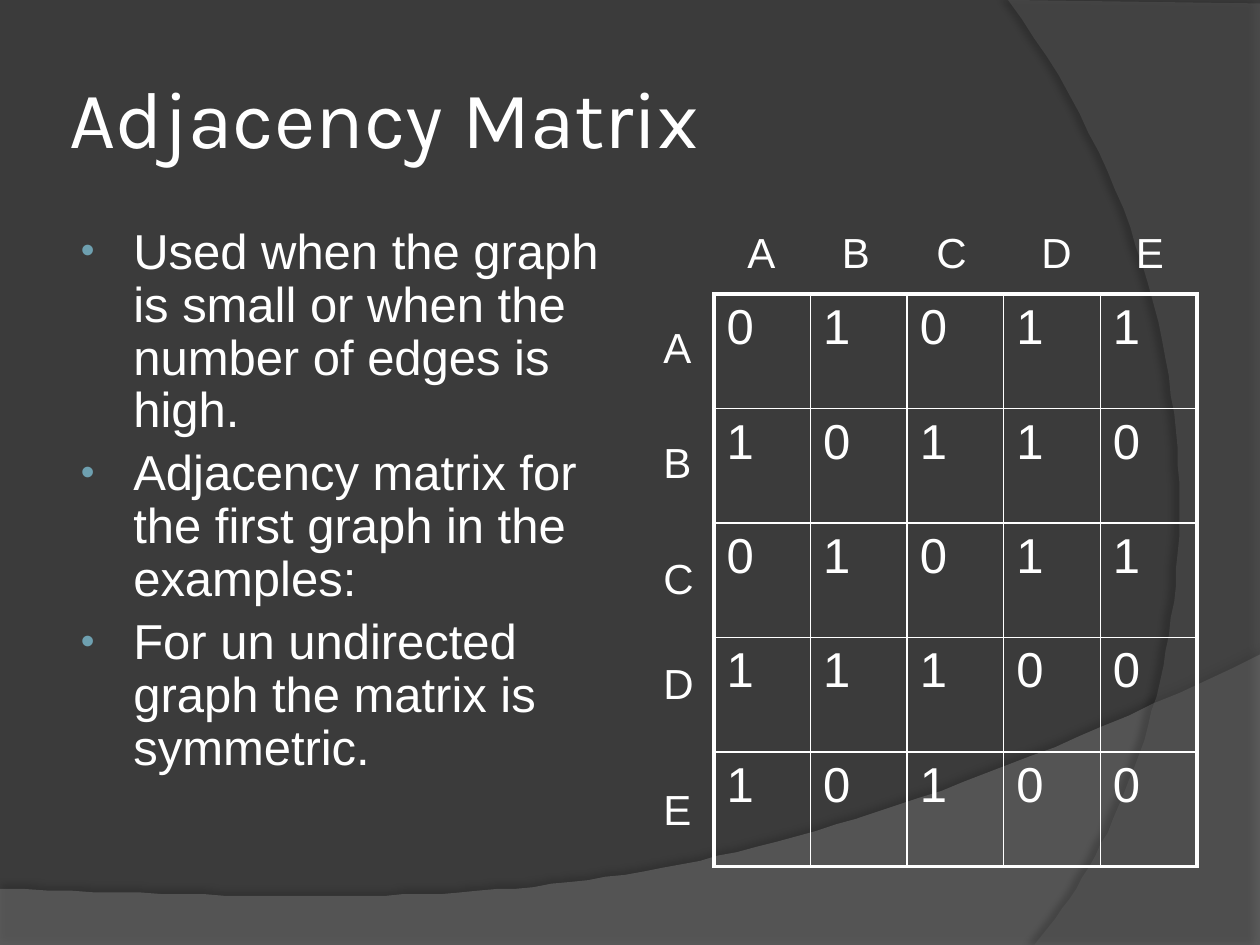
from lxml import etree
from pptx import Presentation
from pptx.dml.color import RGBColor
from pptx.enum import text
from pptx.oxml import parse_xml
from pptx.oxml.ns import nsdecls, qn
from pptx.util import Pt

HUES = {"back": "3B3B3B", "wave": "7F7F7F", "arc": "5E5E5E",
        "ink": "FFFFFF", "dot": "6EA0B0", "dark": "000000"}
NODES = "ABCDE"
MATRIX = ["01011", "10110", "01011", "11100", "10100"]
POINTS = ["Used when the graph is small or when the number of edges is high.",
          "Adjacency matrix for the first graph in the examples:",
          "For un undirected graph the matrix is symmetric."]


def curve(a, b, c, d, steps=60):
    pts = []
    for i in range(steps + 1):
        t = i / steps
        s = 1 - t
        pts.append(tuple(s**3 * p + 3 * s * s * t * q + 3 * s * t * t * r + t**3 * e
                         for p, q, r, e in zip(a, b, c, d)))
    return pts


class Deck:
    def __init__(self):
        self.file = Presentation()
        self.file.slide_width, self.file.slide_height = Pt(720), Pt(540)
        self.slide = self.file.slides.add_slide(self.file.slide_layouts[1])
        fill = self.slide.background.fill
        fill.solid()
        fill.fore_color.rgb = self.hue("back")

    def hue(self, name):
        return RGBColor.from_string(HUES[name])

    def font(self, para, size, face="Arial"):
        para.font.size, para.font.name = Pt(size), face
        para.font.color.rgb = self.hue("ink")

    def place(self, shape, *box):
        shape.left, shape.top, shape.width, shape.height = map(Pt, box)

    def title(self, words, *box):
        shape = self.slide.shapes.title
        self.place(shape, *box)
        frame = shape.text_frame
        frame.text = words
        frame.auto_size = text.MSO_AUTO_SIZE.NONE
        frame.vertical_anchor = text.MSO_ANCHOR.MIDDLE
        frame.margin_left = frame.margin_right = Pt(3.6)
        frame.margin_top = frame.margin_bottom = Pt(3.6)
        para = frame.paragraphs[0]
        para.alignment = text.PP_ALIGN.LEFT
        self.font(para, 46, "Karla")

    def bullets(self, items, *box):
        shape = self.slide.placeholders[1]
        self.place(shape, *box)
        frame = shape.text_frame
        frame.text = "\n".join(items)
        frame.auto_size = text.MSO_AUTO_SIZE.NONE
        for para in frame.paragraphs:
            self.font(para, 28)
            para.line_spacing = 0.9
            props = para._p.get_or_add_pPr()
            props.set("marL", str(Pt(33)))
            props.set("indent", str(Pt(-30)))
            marks = parse_xml(
                f'<a:pPr {nsdecls("a")}><a:buClr><a:srgbClr val="{HUES["dot"]}"/></a:buClr>'
                '<a:buSzPct val="80000"/><a:buFont typeface="Arial"/><a:buChar char="•"/></a:pPr>')
            at = list(props).index(props.find(qn("a:lnSpc"))) + 1
            for i, mark in enumerate(list(marks)):
                props.insert(at + i, mark)

    def sweep(self, pts, name, alpha, shade, dist, angle):
        maker = self.slide.shapes.build_freeform(*pts[0], scale=Pt(1))
        maker.add_line_segments(pts[1:], close=True)
        shape = maker.convert_to_shape()
        shape.fill.solid()
        shape.fill.fore_color.rgb = self.hue(name)
        shape.line.fill.background()
        shape.shadow.inherit = False
        tint = shape._element.spPr.find(qn("a:solidFill"))[0]
        etree.SubElement(tint, qn("a:alpha"), val=str(alpha * 1000))
        glow = parse_xml(
            f'<a:outerShdw {nsdecls("a")} blurRad="{Pt(4)}" dist="{Pt(dist)}" '
            f'dir="{angle * 60000}" rotWithShape="0"><a:srgbClr val="{HUES["dark"]}">'
            f'<a:alpha val="{shade * 1000}"/></a:srgbClr></a:outerShdw>')
        shape._element.spPr.find(qn("a:effectLst")).append(glow)
        return shape._element

    def behind(self, *parts):
        tree = self.slide.shapes._spTree
        for i, part in enumerate(parts):
            tree.insert(2 + i, part)

    def edge(self, cell, sides):
        props = cell._tc.get_or_add_tcPr()
        for i, (side, width) in enumerate(sides.items()):
            props.insert(i, parse_xml(
                f'<a:ln{side} {nsdecls("a")} w="{Pt(width)}"><a:solidFill>'
                f'<a:srgbClr val="{HUES["ink"]}"/></a:solidFill></a:ln{side}>'))

    def grid(self, rows, *box):
        size = len(rows)
        table = self.slide.shapes.add_table(size, size, *map(Pt, box)).table
        table.first_row = table.horz_banding = False
        for line in table.columns:
            line.width = Pt(box[2] / size)
        for line in table.rows:
            line.height = Pt(box[3] / size)
        last = size - 1
        for r, row in enumerate(rows):
            for c, value in enumerate(row):
                cell = table.cell(r, c)
                cell.text = value
                self.font(cell.text_frame.paragraphs[0], 28)
                cell.fill.background()
                outer = {"L": c == 0, "R": c == last, "T": r == 0, "B": r == last}
                self.edge(cell, {k: 2.25 if v else 1 for k, v in outer.items()})

    def label(self, words, left, top):
        wide = 32 if words in "CD" else 30
        frame = self.slide.shapes.add_textbox(Pt(left), Pt(top), Pt(wide), Pt(36)).text_frame
        frame.text = words
        frame.word_wrap = False
        frame.auto_size = text.MSO_AUTO_SIZE.SHAPE_TO_FIT_TEXT
        self.font(frame.paragraphs[0], 24)


def main():
    deck = Deck()
    wave = [(0, 540), (720, 540)] + curve((720, 374.4), (402.5, 525), (281.5, 517.7), (0, 507.6))
    arc = [(720, 1.5), (720, 540)] + curve((591, 540), (673, 446), (733, 216), (576, 0))
    deck.behind(deck.sweep(wave, "wave", 45, 35, 3.5, 270),
                deck.sweep(arc, "arc", 40, 45, 4, 180))
    deck.title("Adjacency Matrix", 36, 21.6, 648, 90)
    deck.bullets(POINTS, 36, 126, 318, 356.4)
    deck.grid(MATRIX, 408, 168, 276, 327)
    for node, left, top in zip(NODES, (420, 474, 528, 588, 642), (180, 246, 312, 372, 444)):
        deck.label(node, left, 126)
        deck.label(node, 372, top)
    deck.file.save("out.pptx")


if __name__ == "__main__":
    main()
